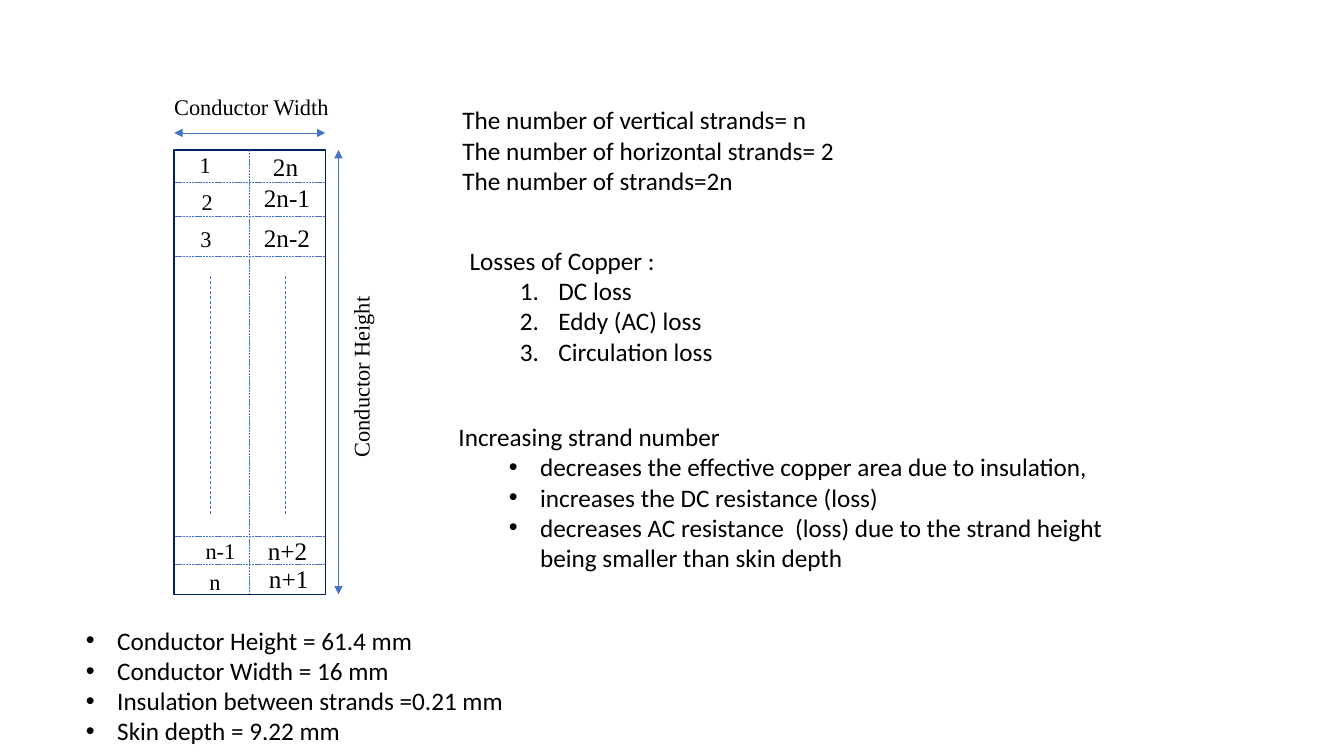
"""Build a slide on conductor strands, copper losses and strand dimensions."""
from dataclasses import dataclass

import pptx
import pptx.dml.color
import pptx.enum.dml
import pptx.enum.shapes
import pptx.enum.text
import pptx.oxml.ns
import pptx.oxml.xmlchemy
import pptx.util
from lxml import etree
from pptx.util import Cm

NAVY = pptx.dml.color.RGBColor(0x00, 0x20, 0x60)
BLUE = pptx.dml.color.RGBColor(0x44, 0x72, 0xC4)
BLACK = pptx.dml.color.RGBColor(0x00, 0x00, 0x00)
DASH = pptx.enum.dml.MSO_LINE.DASH
SQUARE_DOT = pptx.enum.dml.MSO_LINE.SQUARE_DOT

LEFT, TOP, WIDTH, HEIGHT = 4.39, 3.78, 3.81, 11.2
RIGHT, BOTTOM = LEFT + WIDTH, TOP + HEIGHT
ROW_LINES = (4.6, 5.46, 6.45, 13.51, 14.22)
GAP_COLUMNS = (5.31, 7.19)

BULLET = ("buChar", {"char": "•"})
NUMBER = ("buAutoNum", {"type": "arabicPeriod"})
PLAIN = ("buNone", {})


@dataclass
class Label:
    text: str
    x: float
    y: float
    width: float
    size: int = 16
    rotation: int = 0


@dataclass
class Body:
    idx: int
    x: float
    y: float
    width: float
    height: float
    plain: tuple[str, ...] = ()
    items: tuple[str, ...] = ()
    marker: tuple[str, dict[str, str]] = BULLET
    margin: float = 2.06
    hanging: float = 0.79


LABELS = (
    Label("Conductor Width", 4.14, 2.21, 4.83),
    Label("Conductor Height", 6.68, 8.89, 4.83, rotation=270),
    Label("1", 4.78, 3.68, 1.02),
    Label("2", 4.83, 4.62, 1.02),
    Label("3", 4.8, 5.56, 1.02),
    Label("n-1", 4.93, 13.41, 1.37),
    Label("n", 5.03, 14.2, 1.37),
    Label("n+1", 6.53, 14.07, 1.52, 18),
    Label("n+2", 6.5, 13.36, 1.52, 18),
    Label("2n-2", 6.4, 5.49, 1.68, 18),
    Label("2n-1", 6.4, 4.47, 1.68, 18),
    Label("2n", 6.63, 3.68, 1.14, 18),
)

BODIES = (
    Body(1, 11.4, 2.51, 9.93, 3.33, plain=(
        "The number of vertical strands= n",
        "The number of horizontal strands= 2",
        "The number of strands=2n")),
    Body(2, 11.3, 10.49, 18.16, 4.11, plain=("Increasing strand number",), items=(
        "decreases the effective copper area due to insulation,",
        "increases the DC resistance (loss)",
        "decreases AC resistance  (loss) due to the strand height being smaller than skin depth")),
    Body(3, 11.58, 6.05, 9.58, 3.33, plain=("Losses of Copper :",), items=(
        "DC loss", "Eddy (AC) loss", "Circulation loss"),
        marker=NUMBER, margin=2.24, hanging=0.97),
    Body(4, 0.64, 15.62, 16.94, 3.4, items=(
        "Conductor Height = 61.4 mm",
        "Conductor Width = 16 mm",
        "Insulation between strands =0.21 mm",
        "Skin depth = 9.22 mm")),
)


def add_child(parent: etree._Element, name: str, **attrs: str) -> None:
    etree.SubElement(parent, pptx.oxml.ns.qn(f"a:{name}"), attrs)


def draw_line(slide, x1: float, y1: float, x2: float, y2: float, dash=None, arrows: bool = False):
    line = slide.shapes.add_connector(
        pptx.enum.shapes.MSO_CONNECTOR.STRAIGHT, Cm(x1), Cm(y1), Cm(x2), Cm(y2))
    line.line.color.rgb = BLUE
    line.line.width = pptx.util.Pt(0.5)
    if dash is not None:
        line.line.dash_style = dash
    if arrows:
        for end in ("headEnd", "tailEnd"):
            add_child(line.line._get_or_add_ln(), end, type="triangle")
    add_child(line._element.spPr, "effectLst")
    return line


def draw_conductor(slide) -> None:
    sp = slide.shapes.add_shape(
        pptx.enum.shapes.MSO_SHAPE.RECTANGLE, Cm(LEFT), Cm(TOP), Cm(WIDTH), Cm(HEIGHT))
    sp.shadow.inherit = False
    sp.fill.background()
    sp.line.color.rgb = NAVY
    sp.line.width = pptx.util.Pt(1)
    middle = LEFT + WIDTH / 2
    divider = draw_line(slide, middle, TOP, middle, BOTTOM, SQUARE_DOT)
    divider.begin_connect(sp, 0)
    divider.end_connect(sp, 2)
    for y in ROW_LINES:
        draw_line(slide, RIGHT, y, LEFT, y, SQUARE_DOT)
    for x in GAP_COLUMNS:
        draw_line(slide, x, 6.96, x, 12.98, DASH)
    draw_line(slide, LEFT, 3.35, RIGHT, 3.35, arrows=True)
    draw_line(slide, 8.53, BOTTOM, 8.53, TOP, arrows=True)


def format_font(p, name: str, size: int) -> None:
    p.font.name = name
    p.font.size = pptx.util.Pt(size)
    p.font.bold = False
    p.font.color.rgb = BLACK


def draw_label(slide, label: Label) -> None:
    height = 0.94 if label.size == 16 else 1.02
    sp = slide.shapes.add_textbox(Cm(label.x), Cm(label.y), Cm(label.width), Cm(height))
    sp.rotation = label.rotation
    tf = sp.text_frame
    tf.word_wrap = label.size == 16
    p = tf.paragraphs[0]
    p.text = label.text
    format_font(p, "Times New Roman", label.size)


def fill_body(slide, body: Body) -> None:
    sp = slide.placeholders[body.idx]
    sp.left, sp.top = Cm(body.x), Cm(body.y)
    sp.width, sp.height = Cm(body.width), Cm(body.height)
    tf = sp.text_frame
    tf.word_wrap = True
    tf.auto_size = pptx.enum.text.MSO_AUTO_SIZE.NONE
    tf.vertical_anchor = pptx.enum.text.MSO_ANCHOR.TOP
    tf.text = "\n".join(body.plain + body.items)
    for i, p in enumerate(tf.paragraphs):
        is_item = i >= len(body.plain)
        p.level = int(is_item)
        p.space_before = pptx.util.Pt(0)
        pPr = p._p.get_or_add_pPr()
        pPr.set("marL", str(Cm(body.margin if is_item else 0)))
        pPr.set("indent", str(Cm(-body.hanging if is_item else 0)))
        tag, attrs = body.marker if is_item else PLAIN
        if tag == "buChar":
            add_child(pPr, "buFont", typeface="Arial")
        elif tag == "buAutoNum":
            add_child(pPr, "buFont", typeface="+mj-lt")
        add_child(pPr, tag, **attrs)
        format_font(p, "Calibri", 18)


def main() -> None:
    prs = pptx.Presentation()
    prs.slide_width, prs.slide_height = Cm(33.87), Cm(19.05)
    slide = prs.slides.add_slide(prs.slide_layouts.get_by_name("Comparison"))
    title = slide.shapes.title._element
    title.getparent().remove(title)
    draw_conductor(slide)
    for label in LABELS:
        draw_label(slide, label)
    for body in BODIES:
        fill_body(slide, body)
    prs.save("out.pptx")


if __name__ == "__main__":
    main()
